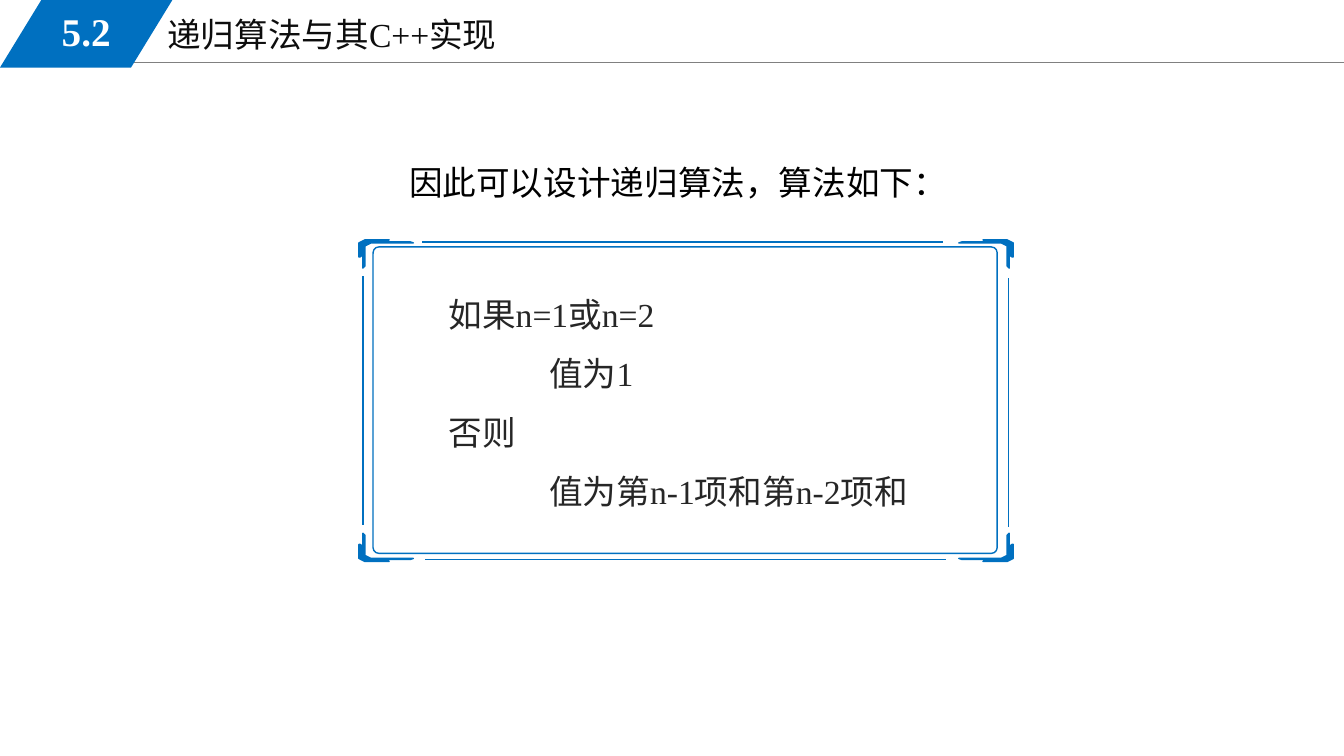
import pptx
import pptx.dml.color
import pptx.enum.shapes
import pptx.enum.text
import pptx.oxml.ns
import pptx.util
from dataclasses import dataclass
from lxml import etree

Inches = pptx.util.Inches
Pt = pptx.util.Pt
Align = pptx.enum.text.PP_ALIGN
Anchor = pptx.enum.text.MSO_ANCHOR


@dataclass(frozen=True)
class Theme:
    font: str = "Times New Roman"
    blue: str = "0070C0"
    gray: str = "808080"
    title: str = "0D0D0D"
    black: str = "000000"
    body: str = "262626"
    white: str = "FFFFFF"
    text: int = 24
    badge: int = 28


THEME = Theme()

# Left, top, right and bottom outer edges of the frame
FRAME = (3.56, 2.38, 10.05, 5.57)
# Top-left bracket, measured from the outer corner
CORNER = [
    (0.06, 0), (0.3, 0), (0.27, 0.02), (0.51, 0.02), (0.54, 0.03),
    (0.12, 0.03), (0.06, 0.06), (0.06, 0.26), (0.04, 0.28),
    (0.04, 0.15), (0.01, 0.17), (0, 0.17), (0, 0.03),
]
STEPS = [
    ("如果n=1或n=2", 0),
    ("值为1", 1),
    ("否则", 0),
    ("值为第n-1项和第n-2项和", 1),
]


def rgb(code):
    return pptx.dml.color.RGBColor.from_string(code)


def fill(shape, color):
    shape.shadow.inherit = False
    shape.fill.solid()
    shape.fill.fore_color.rgb = rgb(color)


def edge(line, color, width=1):
    line.color.rgb = rgb(color)
    line.width = Pt(width)


def rule(slide, start, end, color, width=1):
    """Draw a straight line without a shadow."""
    link = slide.shapes.add_connector(
        pptx.enum.shapes.MSO_CONNECTOR.STRAIGHT,
        *(Inches(v) for v in start + end))
    edge(link.line, color, width)
    etree.SubElement(link._element.spPr, pptx.oxml.ns.qn("a:effectLst"))


def place(shape, left, top, width, height):
    shape.left, shape.top = Inches(left), Inches(top)
    shape.width, shape.height = Inches(width), Inches(height)


def setup(shape, anchor=Anchor.TOP):
    frame = shape.text_frame
    frame.word_wrap = True
    frame.auto_size = pptx.enum.text.MSO_AUTO_SIZE.NONE
    frame.vertical_anchor = anchor
    return frame


def box(slide, area, anchor=Anchor.TOP):
    return setup(slide.shapes.add_textbox(*(Inches(v) for v in area)), anchor)


def write(para, text, color, size=THEME.text, bold=False, align=Align.LEFT):
    para.alignment = align
    run = para.add_run()
    run.text = text
    font = run.font
    font.name, font.size, font.bold = THEME.font, Pt(size), bold
    font.color.rgb = rgb(color)


def header(slide):
    rule(slide, (1.13, 0.62), (13.33, 0.62), THEME.gray, 0.75)
    title = slide.shapes.title
    place(title, 1.56, 0.09, 5.67, 0.51)
    write(setup(title).paragraphs[0], "递归算法与其C++实现", THEME.title)
    badge = slide.shapes.add_shape(
        pptx.enum.shapes.MSO_SHAPE.PARALLELOGRAM,
        0, 0, Inches(1.71), Inches(0.67))
    badge.adjustments[0] = 0.612
    fill(badge, THEME.blue)
    badge.line.fill.background()
    label = box(slide, (0.25, 0.02, 1.21, 0.58), Anchor.MIDDLE)
    write(label.paragraphs[0], "5.2", THEME.white, THEME.badge, True,
          Align.CENTER)


def corner(slide, x, y, right, down):
    """Draw one bracket, mirrored for the right and lower sides."""
    points = [(Inches(x + right * dx), Inches(y + down * dy))
              for dx, dy in CORNER]
    pen = slide.shapes.build_freeform(*points[0])
    pen.add_line_segments(points[1:], close=True)
    shape = pen.convert_to_shape()
    fill(shape, THEME.blue)
    edge(shape.line, THEME.blue)


def border(slide):
    left, top, right, low = FRAME
    panel = slide.shapes.add_shape(
        pptx.enum.shapes.MSO_SHAPE.ROUNDED_RECTANGLE,
        Inches(3.7), Inches(2.45), Inches(6.19), Inches(3.04))
    panel.adjustments[0] = 0.019
    panel.shadow.inherit = False
    panel.fill.background()
    edge(panel.line, THEME.blue)
    for x, right_step in ((left, 1), (right, -1)):
        for y, down_step in ((top, 1), (low, -1)):
            corner(slide, x, y, right_step, down_step)
    for x, y in ((4.19, 2.4), (4.22, 5.55)):
        rule(slide, (x, y), (x + 5.16, y), THEME.blue)
    for x, y in ((3.6, 2.74), (10, 2.76)):
        rule(slide, (x, y), (x, y + 2.47), THEME.blue)


def steps(slide):
    frame = box(slide, (3.96, 2.77, 5.69, 2.37))
    for i, (text, level) in enumerate(STEPS):
        para = frame.add_paragraph() if i else frame.paragraphs[0]
        props = para._p.get_or_add_pPr()
        props.set("marL", str(Inches(0.39 + level)))
        props.set("indent", "0")
        para.line_spacing = 1.25
        para.space_before = Pt(6 if i else 0)
        write(para, text, THEME.body)


def main():
    deck = pptx.Presentation()
    deck.slide_width, deck.slide_height = Inches(13.33), Inches(7.5)
    slide = deck.slides.add_slide(deck.slide_layouts[5])
    header(slide)
    border(slide)
    lead = box(slide, (3.96, 1.48, 5.66, 0.65)).paragraphs[0]
    lead.line_spacing = 1.2
    write(lead, "因此可以设计递归算法，算法如下：", THEME.black)
    steps(slide)
    deck.save("out.pptx")


if __name__ == "__main__":
    main()
